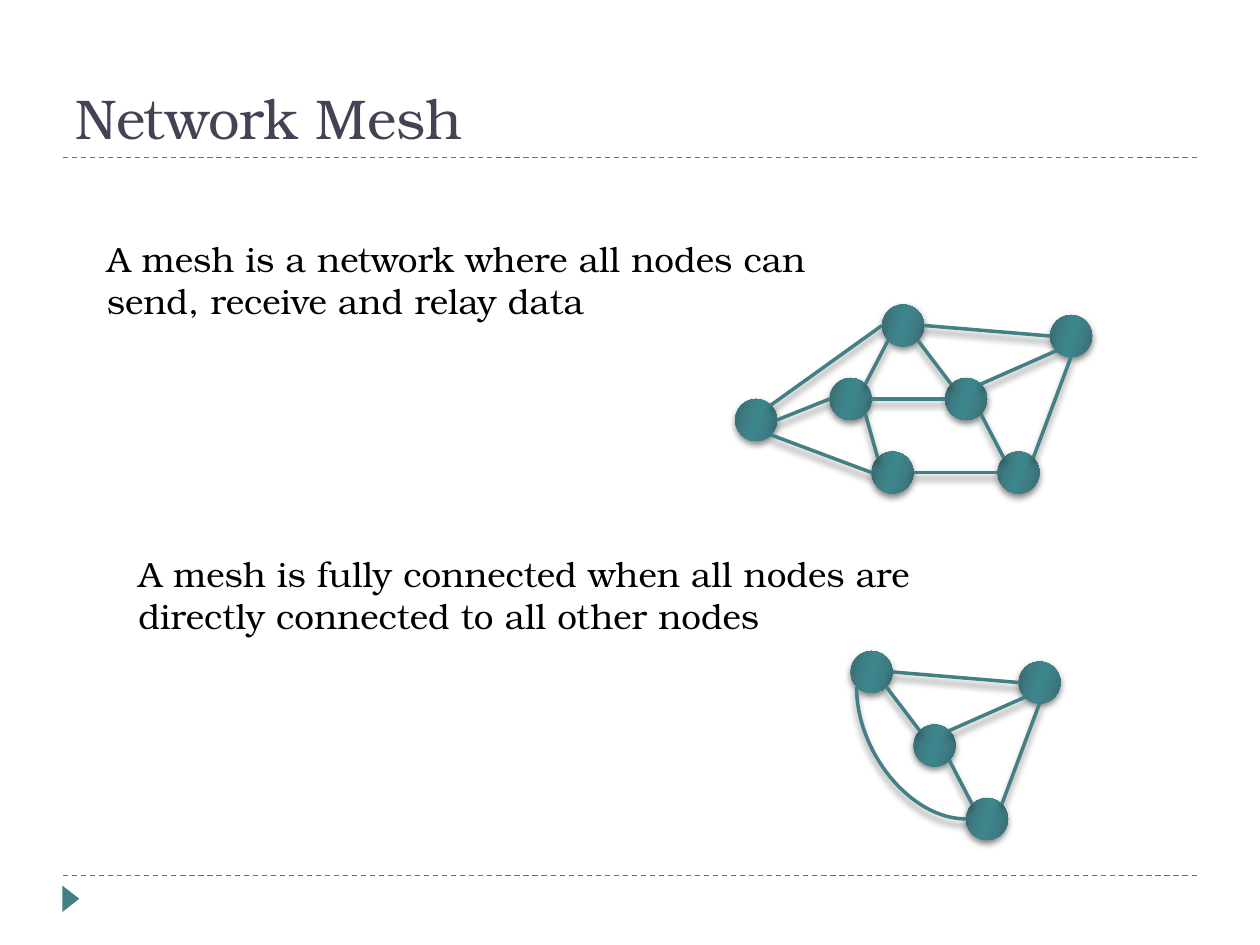
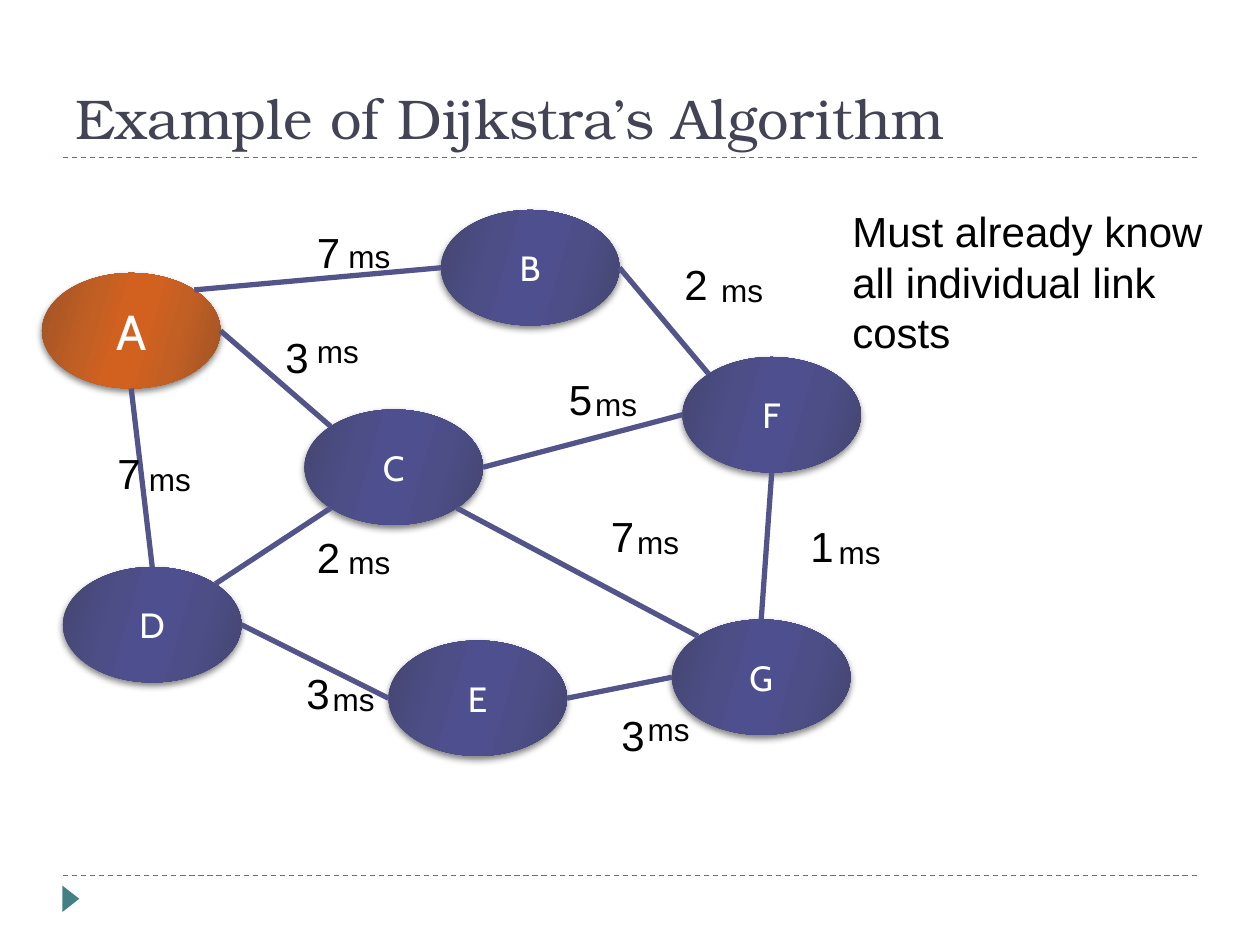
import math

from lxml import etree
from pptx import Presentation
from pptx import util as u
from pptx.dml.color import RGBColor
from pptx.enum import dml, shapes, text
from pptx.oxml.ns import qn

SCALE = 7620  # EMU per px, 120 px to the inch
TEAL = RGBColor(0x43, 0x80, 0x86)
INDIGO = RGBColor(0x53, 0x54, 0x8A)
SLATE = RGBColor(0x42, 0x44, 0x56)
BLACK = RGBColor(0, 0, 0)
WHITE = RGBColor(0xFF, 0xFF, 0xFF)
TEAL_SHEEN = (RGBColor(0x37, 0x69, 0x6E), RGBColor(0x3D, 0x7D, 0x83), RGBColor(0x3D, 0x85, 0x8C))
INDIGO_SHEEN = (RGBColor(0x44, 0x45, 0x71), RGBColor(0x4D, 0x4E, 0x86), RGBColor(0x4E, 0x4F, 0x8F))
ORANGE_SHEEN = (RGBColor(0xA0, 0x53, 0x25), RGBColor(0xC2, 0x5F, 0x24), RGBColor(0xD2, 0x61, 0x1F))
SHEEN_STOPS = ((0, 0), (30, 1), (45, 2), (55, 2), (73, 1), (100, 0))
SERIF, SANS, NODE_FONT = "TeX Gyre Bonum", "Arial", "Cabin"
NODE_SHADOW = {"alpha": 50, "blur": 4, "distance": 2}
LINK_SHADOW = {"alpha": 40, "blur": 4, "distance": 3.4}
SITES = ("top", "top left", "left", "bottom left",
         "bottom", "bottom right", "right", "top right")

RELAY_NODES = {"west": (700, 380), "south": (830, 430), "inner west": (790, 360),
               "south east": (950, 430), "north": (840, 290),
               "inner east": (900, 360), "north east": (1000, 300)}
RELAY_LINKS = (
    ("west", "right", "inner west", "left"),
    ("inner west", "bottom right", "south", "top left"),
    ("south east", "left", "south", "right"),
    ("inner east", "bottom right", "south east", "top left"),
    ("north", "bottom left", "inner west", "top right"),
    ("north", "right", "north east", "left"),
    ("inner east", "top left", "north", "bottom right"),
    ("north east", "bottom left", "inner east", "top right"),
    ("west", "top right", "north", "left"),
    ("west", "bottom right", "south", "left"),
    ("north east", "bottom", "south east", "top right"),
    ("inner west", "right", "inner east", "left"),
)
FULL_NODES = {"south": (920, 760), "north west": (810, 620),
              "centre": (870, 690), "north east": (970, 630)}
FULL_LINKS = (
    ("centre", "bottom right", "south", "top left"),
    ("north west", "right", "north east", "left"),
    ("centre", "top left", "north west", "bottom right"),
    ("north east", "bottom left", "centre", "top right"),
    ("north east", "bottom", "south", "top right"),
)
ROUTERS = {"E": (370, 610), "A": (40, 260), "C": (290, 390), "D": (60, 540),
           "F": (650, 340), "G": (640, 590), "B": (420, 200)}
ROUTES = (
    ("A", "bottom", "D", "top"), ("A", "right", "C", "top left"),
    ("C", "right", "F", "left"), ("E", "right", "G", "left"),
    ("E", "left", "D", "right"), ("G", "top", "F", "bottom"),
    ("C", "bottom left", "D", "top right"), ("C", "bottom right", "G", "top left"),
    ("B", "right", "F", "top left"), ("B", "left", "A", "top right"),
)
COSTS = (
    ("7", (290, 210), (320, 220)), ("3", (260, 310), (290, 310)),
    ("7", (100, 420), (130, 432)), ("3", (280, 630), (305, 642)),
    ("2", (290, 500), (320, 511)), ("7", (570, 480), (595, 492)),
    ("5", (530, 350), (555, 361)), ("2", (640, 240), (675, 252)),
    ("1", (760, 490), (787, 502)), ("3", (580, 670), (605, 670)),
)


def px(*lengths):
    """Turn px lengths into EMU."""
    return [u.Emu(round(length * SCALE)) for length in lengths]


def apply(target, values):
    """Set each named attribute on the target."""
    for name, value in values.items():
        setattr(target, name, value)


def write(frame, words, font, size, color, align=text.PP_ALIGN.LEFT, **layout):
    """Put one formatted paragraph into a text frame."""
    apply(frame, layout)
    paragraph = frame.paragraphs[0]
    paragraph.alignment = align
    run = paragraph.add_run()
    run.text = words
    apply(run.font, {"name": font, "size": u.Pt(size)})
    run.font.color.rgb = color


def add_effects(shape, shadow=None):
    """Give a shape its own effect list, with a downward shadow if wanted."""
    effects = etree.SubElement(shape.element.spPr, qn("a:effectLst"))
    if shadow:
        outer = etree.SubElement(
            effects, qn("a:outerShdw"), blurRad=str(u.Pt(shadow["blur"])),
            dist=str(u.Pt(shadow["distance"])), dir="5400000", rotWithShape="0")
        color = etree.SubElement(outer, qn("a:srgbClr"), val=str(BLACK))
        etree.SubElement(color, qn("a:alpha"), val=str(shadow["alpha"] * 1000))


def add_line(slide, start, end, color, width, shadow=None,
             kind=shapes.MSO_CONNECTOR.STRAIGHT):
    """Draw a connector between two EMU points."""
    line = slide.shapes.add_connector(kind, *start, *end)
    line.line.color.rgb = color
    line.line.width = u.Pt(width)
    add_effects(line, shadow)
    return line


def add_text(slide, words, box, font, size, wrap=True):
    """Add a black text box that grows with its words."""
    frame = slide.shapes.add_textbox(*px(*box)).text_frame
    write(frame, words, font, size, BLACK, word_wrap=wrap,
          auto_size=text.MSO_AUTO_SIZE.SHAPE_TO_FIT_TEXT)


def add_sheen(shape, colors):
    """Fill a shape with the mirrored metallic gradient."""
    shape.fill.gradient()
    shape.fill.gradient_angle = 344
    stops = shape.element.spPr.find(qn("a:gradFill")).find(qn("a:gsLst"))
    for stop in list(stops):
        stops.remove(stop)
    for position, tone in SHEEN_STOPS:
        stop = etree.SubElement(stops, qn("a:gs"), pos=str(position * 1000))
        etree.SubElement(stop, qn("a:srgbClr"), val=str(colors[tone]))


def add_node(slide, corner, size, colors):
    """Add a shaded elliptical node."""
    node = slide.shapes.add_shape(shapes.MSO_SHAPE.OVAL, *px(*corner, *size))
    add_sheen(node, colors)
    node.line.fill.background()
    add_effects(node, NODE_SHADOW)
    return node


def site_point(node, site):
    """Find where a named site lies on an ellipse."""
    angle = math.radians(90 + 45 * SITES.index(site))
    return (round(node.left + node.width / 2 * (1 + math.cos(angle))),
            round(node.top + node.height / 2 * (1 - math.sin(angle))))


def add_link(slide, nodes, link, color, width, **options):
    """Join two nodes at named sites and glue the ends there."""
    first, first_site, second, second_site = link
    ends = ((nodes[first], first_site), (nodes[second], second_site))
    line = add_line(slide, *(site_point(*end) for end in ends), color, width, **options)
    glue = line.element.find(qn("p:nvCxnSpPr")).find(qn("p:cNvCxnSpPr"))
    for tag, (node, site) in zip(("a:stCxn", "a:endCxn"), ends):
        etree.SubElement(glue, qn(tag), id=str(node.shape_id), idx=str(SITES.index(site)))
    return line


def add_mesh(slide, corners, links):
    """Draw a small teal mesh and return its nodes."""
    nodes = {name: add_node(slide, corner, (40, 40), TEAL_SHEEN)
             for name, corner in corners.items()}
    for link in links:
        add_link(slide, nodes, link, TEAL, 2, shadow=LINK_SHADOW)
    return nodes


def add_titled_slide(deck, heading):
    """Add a slide with the shared title, dashed rules and corner marker."""
    slide = deck.slides.add_slide(deck.slide_layouts[5])
    for y in (834, 150):
        rule = add_line(slide, px(60, y), px(1140, y), TEAL, 0.75)
        rule.line.dash_style = dml.MSO_LINE.DASH
    marker = slide.shapes.add_shape(shapes.MSO_SHAPE.ISOSCELES_TRIANGLE, *px(55, 848, 25, 16))
    marker.rotation = 90
    marker.fill.solid()
    marker.fill.fore_color.rgb = TEAL
    marker.line.fill.background()
    marker.shadow.inherit = False
    title = slide.shapes.title
    apply(title, dict(zip(("left", "top", "width", "height"), px(60, 20, 1080, 130))))
    write(title.text_frame, heading, SERIF, 32, SLATE, word_wrap=True,
          auto_size=text.MSO_AUTO_SIZE.NONE, vertical_anchor=text.MSO_ANCHOR.BOTTOM)
    return slide


def build_mesh_slide(deck):
    """Explain meshes with a relaying and a fully connected example."""
    slide = add_titled_slide(deck, "Network Mesh")
    add_text(slide, "A mesh is a network where all nodes can send, receive and relay data",
             (90, 220, 750, 92), SERIF, 20)
    add_mesh(slide, RELAY_NODES, RELAY_LINKS)
    add_text(slide, "A mesh is fully connected when all nodes are directly connected "
             "to all other nodes", (120, 520, 770, 92), SERIF, 20)
    full = add_mesh(slide, FULL_NODES, FULL_LINKS)
    bend = add_link(slide, full, ("south", "left", "north west", "bottom left"), TEAL, 2,
                    shadow=LINK_SHADOW, kind=shapes.MSO_CONNECTOR.CURVE)
    bend.element.spPr.find(qn("a:prstGeom")).set("prst", "curvedConnector2")


def build_dijkstra_slide(deck):
    """Show the weighted graph with its link costs."""
    slide = add_titled_slide(deck, "Example of Dijkstra’s Algorithm")
    routers = {}
    for name, corner in ROUTERS.items():
        is_source = name == "A"
        router = add_node(slide, corner, (170, 110), ORANGE_SHEEN if is_source else INDIGO_SHEEN)
        write(router.text_frame, name, NODE_FONT, 28 if is_source else 20, WHITE,
              text.PP_ALIGN.CENTER, vertical_anchor=text.MSO_ANCHOR.MIDDLE,
              margin_left=0, margin_top=0, margin_right=0, margin_bottom=0)
        routers[name] = router
    for route in ROUTES:
        add_link(slide, routers, route, INDIGO, 3)
    for cost, cost_corner, unit_corner in COSTS:
        add_text(slide, cost, (*cost_corner, 47, 61), SANS, 24, wrap=False)
        add_text(slide, "ms", (*unit_corner, 65, 48), SANS, 18, wrap=False)
    add_text(slide, "Must already know all individual link costs",
             (800, 190, 360, 157), SANS, 24)


def main():
    """Build and save the deck."""
    deck = Presentation()
    deck.slide_width, deck.slide_height = px(1200, 900)
    build_mesh_slide(deck)
    build_dijkstra_slide(deck)
    deck.save("out.pptx")


if __name__ == "__main__":
    main()
